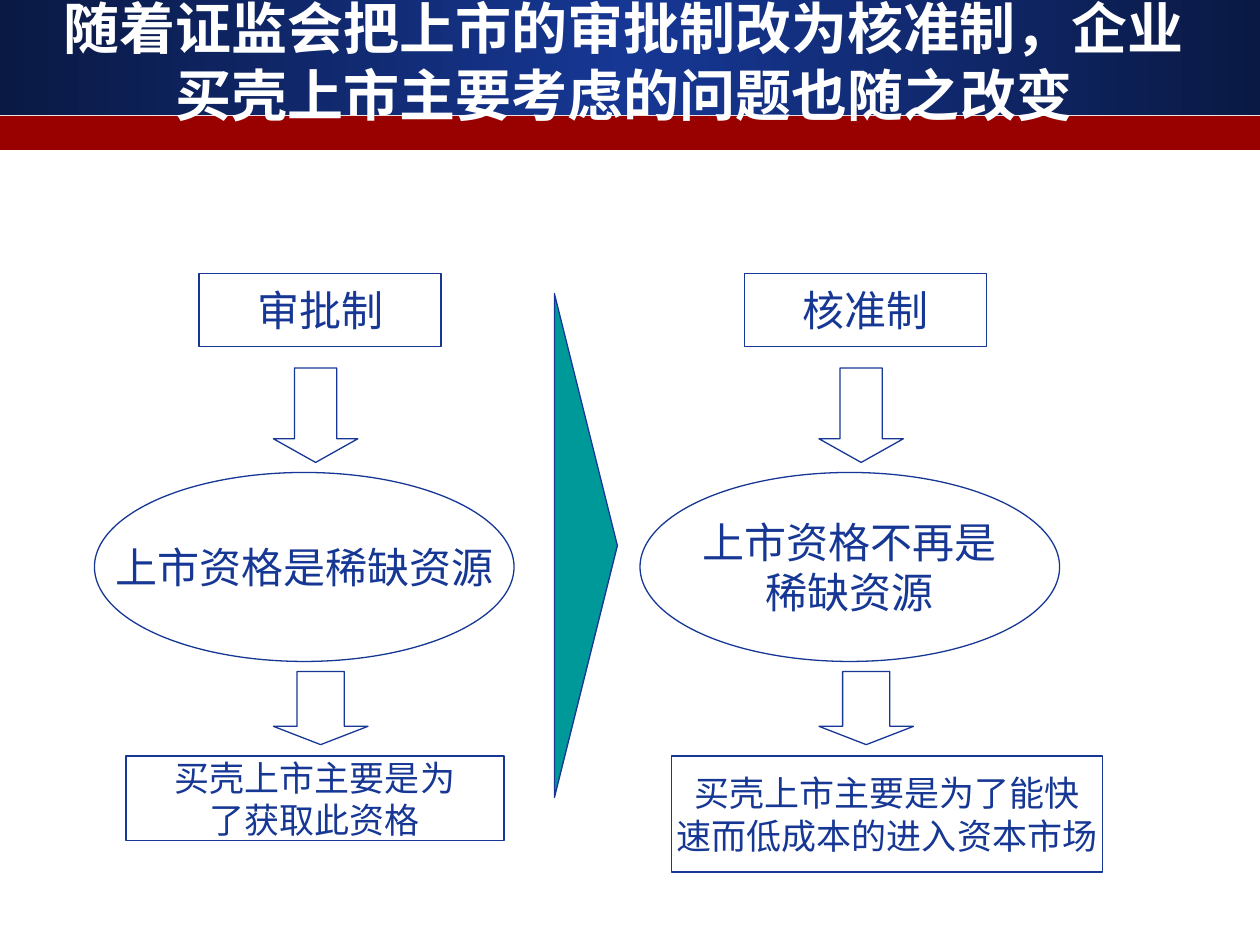
from copy import deepcopy

from pptx import Presentation
from pptx.dml.color import RGBColor
from pptx.enum.lang import MSO_LANGUAGE_ID as Lang
from pptx.enum.shapes import MSO_SHAPE as Shape
from pptx.enum.text import MSO_ANCHOR as Anchor, MSO_AUTO_SIZE as AutoSize, PP_ALIGN as Align
from pptx.oxml.ns import qn
from pptx.util import Inches, Pt

NAVY, BLUE, RED, TEAL, WHITE = "0A1944", "163794", "990000", "009999", "FFFFFF"
COLUMN_STEP = 4.33
REGIMES = [
    {
        "name": ["审批制"],
        "status": ["上市资格是稀缺资源"],
        "motive": ["买壳上市主要是为", "了获取此资格"],
        "motive_size": (3, 0.67),
    },
    {
        "name": ["核准制"],
        "status": ["上市资格不再是", "稀缺资源"],
        "motive": ["买壳上市主要是为了能快", "速而低成本的进入资本市场"],
        "motive_size": (3.42, 0.92),
    },
]


def color(hex_value):
    return RGBColor.from_string(hex_value)


def apply(target, values):
    for key, value in values.items():
        setattr(target, key, value)


class SlideBuilder:
    body_font = {"name": "Times New Roman", "bold": False}
    title_font = {"name": "DejaVu Sans", "size": Pt(32), "bold": True}
    frame_format = {
        "auto_size": AutoSize.NONE,
        "vertical_anchor": Anchor.MIDDLE,
        "margin_left": Inches(0.1),
        "margin_right": Inches(0.1),
        "margin_top": Inches(0.05),
        "margin_bottom": Inches(0.05),
    }

    def __init__(self, slide):
        self.slide = slide

    def shape(self, kind, box, fill=None, line=BLUE):
        shape = self.slide.shapes.add_shape(kind, *map(Inches, box))
        shape.shadow.inherit = False
        if fill:
            shape.fill.solid()
            shape.fill.fore_color.rgb = color(fill)
        else:
            shape.fill.background()
        if line:
            shape.line.color.rgb = color(line)
            shape.line.width = Pt(0.75)
        else:
            shape.line.fill.background()
        return shape

    def gradient_band(self, box, colors):
        band = self.shape(Shape.RECTANGLE, box, line=None)
        band.fill.gradient()
        band.fill.gradient_angle = 0
        stops = band.element.find(".//" + qn("a:gsLst"))
        stops.append(deepcopy(stops[0]))
        for index, (stop, hex_value) in enumerate(zip(band.fill.gradient_stops, colors)):
            stop.position = index / (len(colors) - 1)
            stop.color.rgb = color(hex_value)

    def set_text(self, frame, lines, font, hex_value, wrap):
        apply(frame, self.frame_format | {"word_wrap": wrap})
        for index, line in enumerate(lines):
            paragraph = frame.paragraphs[0] if index == 0 else frame.add_paragraph()
            paragraph.alignment = Align.CENTER
            run = paragraph.add_run()
            run.text = line
            apply(run.font, font | {"language_id": Lang.SIMPLIFIED_CHINESE})
            run.font.color.rgb = color(hex_value)

    def title(self, text, box):
        title = self.slide.shapes.title
        apply(title, dict(zip(("left", "top", "width", "height"), map(Inches, box))))
        self.set_text(title.text_frame, [text], self.title_font, WHITE, True)
        self.slide.shapes.element.append(title.element)

    def label(self, kind, box, lines, size):
        shape = self.shape(kind, box)
        self.set_text(shape.text_frame, lines, self.body_font | {"size": Pt(size)}, BLUE, False)

    def down_arrow(self, box, head):
        arrow = self.shape(Shape.DOWN_ARROW, box)
        arrow.adjustments[0] = 0.5
        arrow.adjustments[1] = head

    def regime(self, offset, content):
        self.label(Shape.RECTANGLE, (offset + 1.58, 2.17, 1.92, 0.58), content["name"], 24)
        self.label(Shape.OVAL, (offset + 0.75, 3.75, 3.33, 1.5), content["status"], 24)
        self.down_arrow((offset + 2.17, 2.92, 0.67, 0.75), 0.28)
        self.label(Shape.RECTANGLE, (offset + 1, 6, *content["motive_size"]), content["motive"], 20)
        self.down_arrow((offset + 2.17, 5.33, 0.75, 0.58), 0.25)


def main():
    deck = Presentation()
    deck.slide_width, deck.slide_height = Inches(10), Inches(7.5)
    builder = SlideBuilder(deck.slides.add_slide(deck.slide_layouts[5]))
    builder.gradient_band((0, 0, 10, 0.91), [NAVY, BLUE, NAVY])
    builder.shape(Shape.RECTANGLE, (0, 0.92, 10, 0.27), RED, None)
    builder.title(
        "随着证监会把上市的审批制改为核准制，企业买壳上市主要考虑的问题也随之改变",
        (0.33, 0.17, 9.25, 0.62),
    )
    for column, content in enumerate(REGIMES):
        builder.regime(column * COLUMN_STEP, content)
    transition = builder.shape(Shape.ISOSCELES_TRIANGLE, (2.65, 4.08, 4, 0.5), TEAL)
    transition.rotation = 90
    deck.save("out.pptx")


if __name__ == "__main__":
    main()
